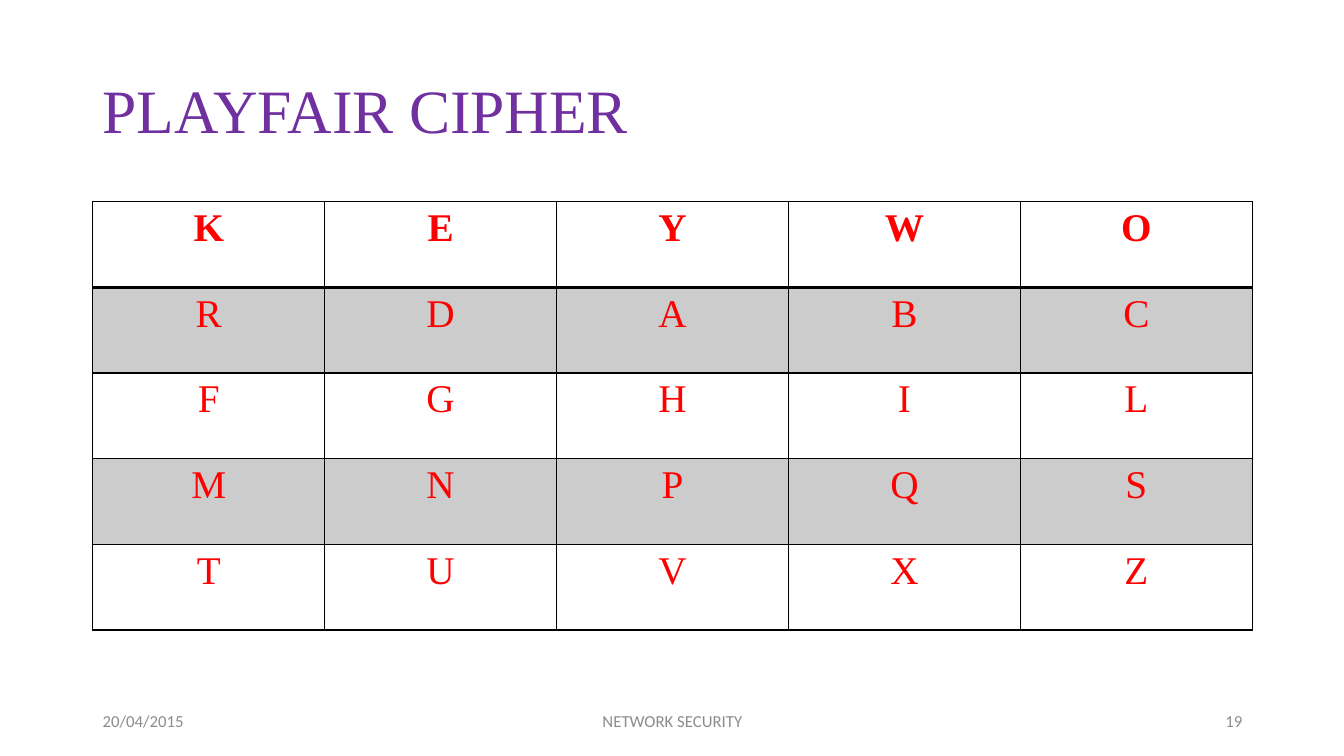
from dataclasses import dataclass
from lxml import etree
from pptx import Presentation
from pptx import util as u
from pptx.dml.color import RGBColor
from pptx.enum import text
from pptx.oxml import ns


@dataclass(frozen=True)
class Theme:
    serif: str = "Times New Roman"
    sans: str = "Calibri"
    title: str = "7030A0"
    key: str = "FF0000"
    foot: str = "8C8C8C"
    ink: str = "000000"
    head_size: int = 44
    key_size: int = 28
    foot_size: int = 12


theme = Theme()
align = text.PP_ALIGN


def style(para, size, face, color, side, bold=False):
    para.alignment = side
    for run in para.runs:
        run.font.size = u.Pt(size)
        run.font.name = face
        run.font.bold = bold
        run.font.color.rgb = RGBColor.from_string(color)


def label(words, box, size, face, color, side):
    shape = slide.shapes.add_textbox(*map(u.Inches, box))
    frame = shape.text_frame
    frame.word_wrap = True
    frame.vertical_anchor = text.MSO_ANCHOR.MIDDLE
    frame.text = words
    style(frame.paragraphs[0], size, face, color, side)
    return frame.paragraphs[0]


deck = Presentation()
deck.slide_width = u.Inches(13.33)
deck.slide_height = u.Inches(7.5)
slide = deck.slides.add_slide(deck.slide_layouts[6])

title = label("PLAYFAIR CIPHER", (0.92, 0.4, 11.5, 1.45),
              theme.head_size, theme.serif, theme.title, align.LEFT)
title.line_spacing = 0.9

rows = ["KEYWO", "RDABC", "FGHIL", "MNPQS", "TUVXZ"]
table = slide.shapes.add_table(
    5, 5, u.Inches(0.92), u.Inches(2), u.Inches(11.5), u.Inches(4.25)).table
table.first_row = False
table.horz_banding = False

for r, row in enumerate(rows):
    table.rows[r].height = u.Inches(0.85)
    for c, letter in enumerate(row):
        cell = table.cell(r, c)
        cell.text = letter
        style(cell.text_frame.paragraphs[0], theme.key_size, theme.serif,
              theme.key, align.CENTER, bold=r == 0)
        props = cell._tc.get_or_add_tcPr()
        for side in "LRTB":
            thick = (r, side) in [(0, "B"), (1, "T")]
            line = etree.SubElement(props, ns.qn(f"a:ln{side}"),
                                    w=str(u.Pt(2 if thick else 1)))
            fill = etree.SubElement(line, ns.qn("a:solidFill"))
            etree.SubElement(fill, ns.qn("a:srgbClr"), val=theme.ink)
        if r % 2:
            cell.fill.solid()
            cell.fill.fore_color.rgb = RGBColor.from_string(theme.ink)
            shade = props.find(ns.qn("a:solidFill")).find(ns.qn("a:srgbClr"))
            etree.SubElement(shade, ns.qn("a:alpha"), val="20000")
        else:
            cell.fill.background()

feet = [("20/04/2015", 0.92, 3, align.LEFT),
        ("NETWORK SECURITY", 4.42, 4.5, align.CENTER),
        ("19", 9.42, 3, align.RIGHT)]
for words, left, width, side in feet:
    label(words, (left, 6.95, width, 0.4),
          theme.foot_size, theme.sans, theme.foot, side)

deck.save("out.pptx")
